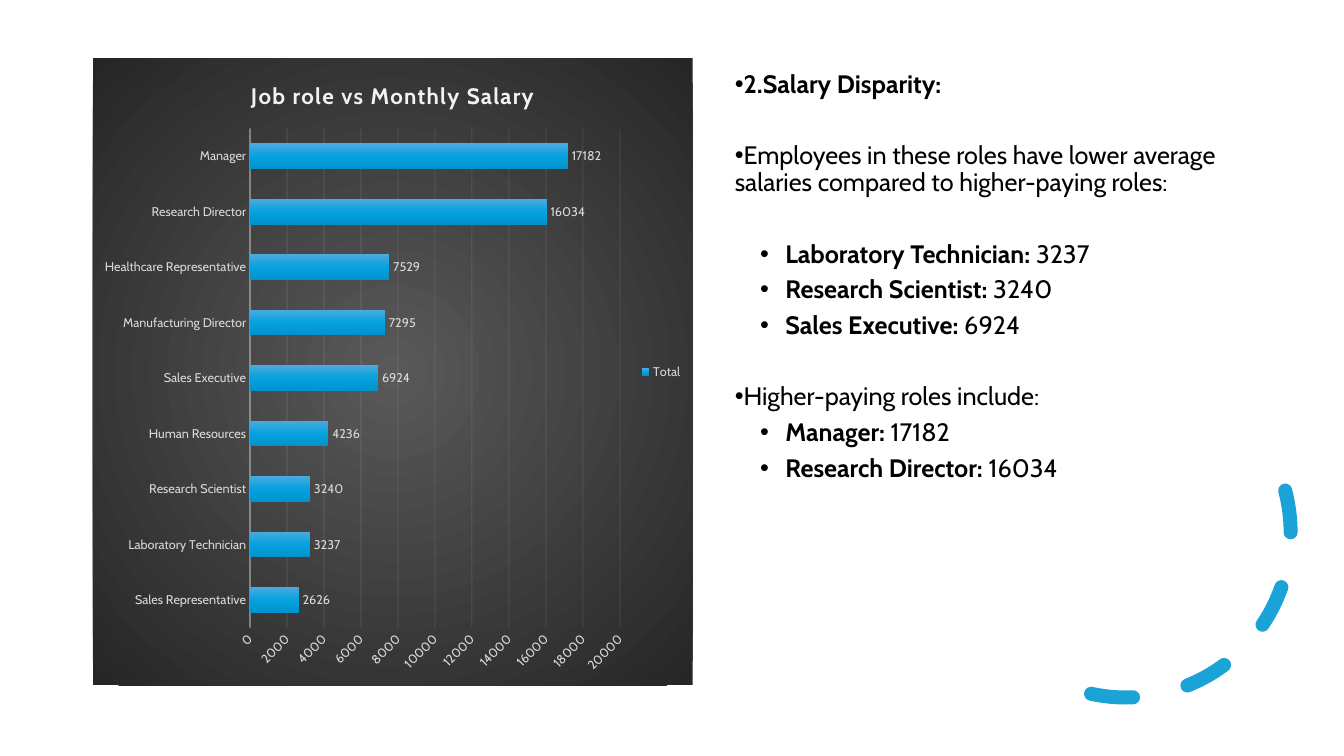
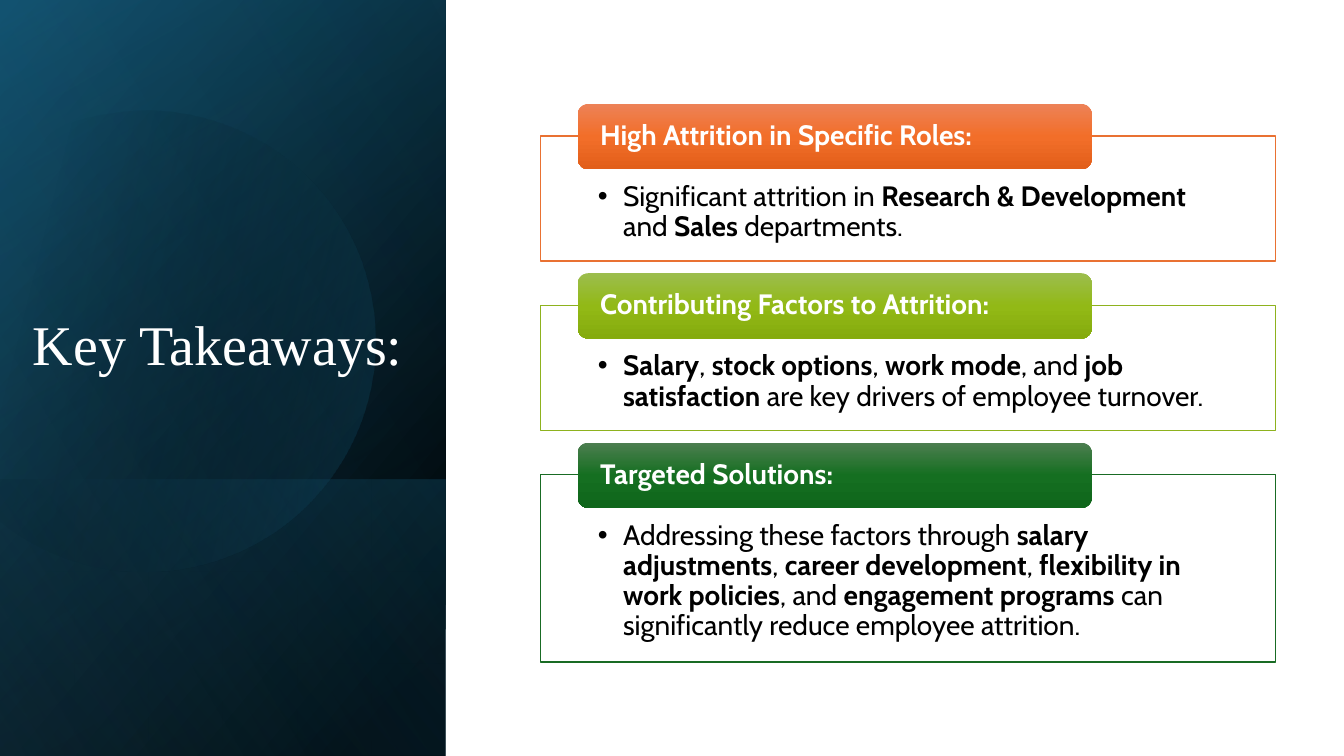
"""Build two slides on employee attrition: a salary chart and the key takeaways."""
from dataclasses import dataclass
from math import cos, radians, sin

from lxml.etree import SubElement
from pptx import Presentation
from pptx.chart.data import CategoryChartData
from pptx.dml.color import RGBColor
from pptx.enum.chart import XL_CHART_TYPE as ChartType
from pptx.enum.chart import XL_LABEL_POSITION as LabelPosition
from pptx.enum.chart import XL_LEGEND_POSITION as LegendPosition
from pptx.enum.chart import XL_TICK_MARK as TickMark
from pptx.enum.dml import MSO_LINE as Dash
from pptx.enum.shapes import MSO_SHAPE as Shape
from pptx.enum.text import MSO_ANCHOR as Anchor
from pptx.enum.text import MSO_AUTO_SIZE as AutoSize
from pptx.enum.text import PP_ALIGN as Align
from pptx.oxml import parse_xml
from pptx.oxml.ns import nsdecls, qn
from pptx.util import Emu, Pt

EMU_PER_PX = 9144
BODY_FONT, TITLE_FONT = "Cabin", "Times New Roman"
BLACK, WHITE, PALE, GREY = "000000", "FFFFFF", "F2F2F2", "D9D9D9"
TEAL, NAVY, SKY, ACCENT = "156082", "104862", "46B1E1", "0F9ED5"
CIRCLE = '<a:path path="circle"><a:fillToRect l="50000" t="50000" r="50000" b="50000"/></a:path>'


@dataclass(frozen=True)
class Paragraph:
    """A paragraph whose bold words stand between asterisks."""
    text: str
    level: int = 0
    margin: int = 0
    bullet: bool = True
    before: float = 0


@dataclass(frozen=True)
class Layer:
    """A gradient rectangle turned a quarter, listed before its turn."""
    left: int
    top: int
    width: int
    height: int
    angle: int
    stops: tuple


@dataclass(frozen=True)
class Card:
    """A takeaway with a coloured heading over an outlined frame."""
    heading: str
    body: str
    height: int
    outline: str
    shades: tuple


SALARIES = {
    "Sales Representative": 2626, "Laboratory Technician": 3237, "Research Scientist": 3240,
    "Human Resources": 4236, "Sales Executive": 6924, "Manufacturing Director": 7295,
    "Healthcare Representative": 7529, "Research Director": 16034, "Manager": 17182,
}
BLOCK_GAP = 25.5
FINDINGS = (
    Paragraph("*2.Salary Disparity:*"),
    Paragraph("Employees in these roles have lower average salaries compared to "
              "higher-paying roles:", before=BLOCK_GAP),
    Paragraph("*Laboratory Technician:* 3237", 1, 50, before=BLOCK_GAP),
    Paragraph("*Research Scientist:* 3240", 1, 50),
    Paragraph("*Sales Executive:* 6924", 1, 50),
    Paragraph("Higher-paying roles include:", before=BLOCK_GAP),
    Paragraph("*Manager:* 17182", 1, 50),
    Paragraph("*Research Director:* 16034", 1, 50),
)
BASE_LAYERS = (
    Layer(-154, 154, 750, 442, 50, ((8, BLACK, 100), (100, NAVY, 100))),
    Layer(-154, 154, 750, 442, 30, ((0, BLACK, 0), (99, TEAL, 46))),
    Layer(84, 392, 274, 442, 130, ((2, TEAL, 29), (100, BLACK, 30))),
)
TOP_LAYER = Layer(-154, 154, 750, 442, 120, ((0, BLACK, 0), (99, SKY, 11)))
DISC_BOX, DISC_TURN = (-55, 106, 427, 457), -16.1
DISC_START = (149, 110)
DISC_STEPS = (
    ((246, 112), (335, 177), (363, 275)),
    ((398, 397), (328, 523), (207, 558)),
    ((131, 580), (53, 561), (-3, 514)),
    ((-15, 503),),
    ((-15, 175),),
    ((0, 161),),
    ((23, 142), (50, 128), (80, 119)),
    ((103, 113), (126, 110), (149, 110)),
)
CARDS = (
    Card("High Attrition in Specific Roles:",
         "Significant attrition in *Research & Development* and *Sales* departments.",
         124, "E97132", ("ED8257", "F26E29", "E25F1A")),
    Card("Contributing Factors to Attrition:",
         "*Salary*, *stock options*, *work mode*, and *job satisfaction* are key drivers "
         "of employee turnover.",
         124, "8EB21E", ("9CBD4E", "92B916", "85AB0D")),
    Card("Targeted Solutions:",
         "Addressing these factors through *salary adjustments*, *career development*, "
         "*flexibility in work policies*, and *engagement programs* can significantly "
         "reduce employee attrition.",
         186, "196B24", ("4D7E50", "156F21", "0F661B")),
)


def px(*lengths: int) -> list:
    """Turn whole px into EMU."""
    return [Emu(length * EMU_PER_PX) for length in lengths]


def rgb(colour: str) -> RGBColor:
    """Read a hex colour."""
    return RGBColor.from_string(colour)


def style_font(font, size: float, colour: str, bold: bool = False, name: str = BODY_FONT) -> None:
    """Set face, size, colour and weight."""
    font.name, font.size, font.bold = name, Pt(size), bold
    font.color.rgb = rgb(colour)


def style_line(line, colour: str, width: float, opacity: int = 100) -> None:
    """Draw a solid line with an opacity in percent."""
    line.color.rgb, line.width = rgb(colour), Pt(width)
    tint = line._get_or_add_ln().find(".//" + qn("a:srgbClr"))
    SubElement(tint, qn("a:alpha")).set("val", str(opacity * 1000))


def gradient(stops: tuple, angle: int = 90, shade: str = ""):
    """Make a gradient fill from (position, colour, opacity) stops."""
    marks = "".join(
        f'<a:gs pos="{position * 1000}"><a:srgbClr val="{colour}">'
        f'<a:alpha val="{opacity * 1000}"/></a:srgbClr></a:gs>'
        for position, colour, opacity in stops)
    shade = shade or f'<a:lin ang="{angle * 60000}" scaled="0"/>'
    return parse_xml(f'<a:gradFill {nsdecls("a")} rotWithShape="1">'
                     f'<a:gsLst>{marks}</a:gsLst>{shade}</a:gradFill>')


def fill_gradient(properties, stops: tuple, angle: int = 90) -> None:
    """Put a gradient in place of an empty fill."""
    properties.replace(properties.find(qn("a:noFill")), gradient(stops, angle))


def vertical_stops(shades: tuple) -> tuple:
    """Spread three opaque shades evenly."""
    return tuple((50 * index, shade, 100) for index, shade in enumerate(shades))


def clear(shape):
    """Remove shadow, fill and line."""
    shape.shadow.inherit = False
    shape.fill.background()
    shape.line.fill.background()
    return shape


def write(box, paragraphs: tuple, size: float, colour: str, insets: tuple,
          anchor=Anchor.TOP) -> None:
    """Write paragraphs into a box, run by run."""
    frame = box.text_frame
    frame.word_wrap, frame.vertical_anchor = True, anchor
    (frame.margin_left, frame.margin_top,
     frame.margin_right, frame.margin_bottom) = px(*insets)
    for index, item in enumerate(paragraphs):
        para = frame.paragraphs[0] if index == 0 else frame.add_paragraph()
        para.level, para.alignment = item.level, Align.LEFT
        if item.bullet:
            margin, indent = px(item.margin, -25)
            properties = para._p.get_or_add_pPr()
            properties.set("marL", str(margin))
            properties.set("indent", str(indent))
            SubElement(properties, qn("a:buFont")).set("typeface", "Arial")
            SubElement(properties, qn("a:buChar")).set("char", "•")
        para.line_spacing, para.space_after = 0.9, Pt(6)
        if item.before:
            para.space_before = Pt(item.before)
        for number, text in enumerate(item.text.split("*")):
            if text:
                span = para.add_run()
                span.text = text
                style_font(span.font, size, colour, number % 2 == 1)


def style_axis(axis) -> None:
    """Give an axis small grey labels and no ticks."""
    axis.major_tick_mark = axis.minor_tick_mark = TickMark.NONE
    style_font(axis.tick_labels.font, 9, GREY)


def add_salary_chart(page) -> None:
    """Draw the salary bars on a dark ground."""
    data = CategoryChartData(number_format="0")
    data.categories = list(SALARIES)
    data.add_series("Total", list(SALARIES.values()))
    chart = page.shapes.add_chart(ChartType.BAR_CLUSTERED, *px(92, 58, 595, 622), data).chart
    style_font(chart.font, 10, BLACK)
    ground = parse_xml(f'<c:spPr {nsdecls("c", "a")}><a:ln><a:noFill/></a:ln></c:spPr>')
    ground.insert(0, gradient(((0, "595959", 100), (100, "262626", 100)), shade=CIRCLE))
    chart._chartSpace.find(qn("c:txPr")).addprevious(ground)

    span = chart.chart_title.text_frame.paragraphs[0].add_run()
    span.text = "Job role vs Monthly Salary"
    style_font(span.font, 16, PALE, True)
    span._r.get_or_add_rPr().set("spc", "100")
    chart.chart_title.include_in_layout = False
    chart.has_legend = True
    chart.legend.position, chart.legend.include_in_layout = LegendPosition.RIGHT, False
    style_font(chart.legend.font, 9, GREY)

    style_axis(chart.category_axis)
    style_line(chart.category_axis.format.line, PALE, 1, 54)
    values = chart.value_axis
    style_axis(values)
    values.minimum_scale, values.maximum_scale, values.major_unit = 0, 20000, 2000
    values.format.line.fill.background()
    style_line(values.major_gridlines.format.line, PALE, 0.75, 10)
    values._element.find(qn("c:txPr")).find(qn("a:bodyPr")).set("rot", "-2700000")

    plot = chart.plots[0]
    plot.gap_width, plot.overlap, plot.vary_by_categories = 115, -20, False
    plot.has_data_labels = True
    labels = plot.data_labels
    labels.show_value, labels.position = True, LabelPosition.OUTSIDE_END
    labels.number_format, labels.number_format_is_linked = "0", False
    style_font(labels.font, 9, GREY)
    bars = plot.series[0]
    bars.format.fill.background()
    fill_gradient(bars._element.find(qn("c:spPr")),
                  vertical_stops(("4CAADF", "05A2DF", "0092CB")))


def add_salary_slide(deck) -> None:
    """Build the chart slide with its findings."""
    page = deck.slides.add_slide(deck.slide_layouts[6])
    arc = clear(page.shapes.add_shape(Shape.ARC, *px(953, 365, 327, 327)))
    arc.rotation = 104.5
    arc.adjustments[0], arc.adjustments[1] = 144.42, 0
    style_line(arc.line, ACCENT, 10, 95)
    arc.line.dash_style = Dash.DASH
    arc.line._get_or_add_ln().set("cap", "rnd")
    box = page.shapes.add_textbox(*px(719, 66, 543, 613))
    write(box, FINDINGS, 18, BLACK, (10, 5, 10, 5))
    add_salary_chart(page)


def add_layer(page, layer: Layer) -> None:
    """Draw one gradient layer of the side panel."""
    shape = clear(page.shapes.add_shape(
        Shape.RECTANGLE, *px(layer.left, layer.top, layer.width, layer.height)))
    shape.rotation = 90
    properties = shape._element.spPr
    properties.find(qn("a:xfrm")).set("flipH", "1")
    fill_gradient(properties, layer.stops, layer.angle)


def disc_point(point: tuple) -> tuple:
    """Undo the turn of the disc and measure from its box, in tenths of a px."""
    left, top, width, height = DISC_BOX
    across, down = point[0] - left - width / 2, point[1] - top - height / 2
    turn = radians(-DISC_TURN)
    return (round(10 * (across * cos(turn) - down * sin(turn) + width / 2)),
            round(10 * (across * sin(turn) + down * cos(turn) + height / 2)))


def add_disc(page) -> None:
    """Draw the faint disc, with its straight steps bent into curves."""
    builder = page.shapes.build_freeform(*disc_point(DISC_START), scale=EMU_PER_PX / 10)
    builder.add_line_segments([disc_point(step[-1]) for step in DISC_STEPS], close=True)
    disc = clear(builder.convert_to_shape())
    disc.left, disc.top, disc.width, disc.height = px(*DISC_BOX)
    disc.rotation = DISC_TURN
    outline = disc._element.spPr.find(".//" + qn("a:path"))
    outline.set("w", str(10 * DISC_BOX[2]))
    outline.set("h", str(10 * DISC_BOX[3]))
    moves = [("moveTo", (DISC_START,))]
    moves += [("cubicBezTo" if len(step) == 3 else "lnTo", step) for step in DISC_STEPS]
    for child in list(outline):
        outline.remove(child)
    for kind, points in moves:
        move = SubElement(outline, qn(f"a:{kind}"))
        for x, y in map(disc_point, points):
            mark = SubElement(move, qn("a:pt"))
            mark.set("x", str(x))
            mark.set("y", str(y))
    SubElement(outline, qn("a:close"))
    fill_gradient(disc._element.spPr, ((29, BLACK, 0), (100, TEAL, 43)), 30)


def add_card(page, card: Card, top: int) -> None:
    """Draw one takeaway card."""
    frame = clear(page.shapes.add_shape(Shape.RECTANGLE, *px(536, top, 729, card.height)))
    frame.fill.solid()
    frame.fill.fore_color.rgb = rgb(WHITE)
    style_line(frame.line, card.outline, 1)
    write(frame, (Paragraph(card.body, 1, 25),), 20, BLACK, (57, 46, 57, 16))
    header = clear(page.shapes.add_shape(Shape.ROUNDED_RECTANGLE, *px(573, top - 32, 510, 65)))
    fill_gradient(header._element.spPr, vertical_stops(card.shades))
    write(header, (Paragraph(f"*{card.heading}*", bullet=False),), 20, WHITE,
          (19, 0, 19, 0), Anchor.MIDDLE)


def add_takeaways_slide(deck) -> None:
    """Build the slide with the side panel and three cards."""
    page = deck.slides.add_slide(deck.slide_layouts[5])
    for layer in BASE_LAYERS:
        add_layer(page, layer)
    add_disc(page)
    add_layer(page, TOP_LAYER)
    title = page.shapes.title
    title.element.getparent().append(title.element)
    title.left, title.top, title.width, title.height = px(18, 118, 405, 262)
    frame = title.text_frame
    frame.word_wrap, frame.auto_size, frame.vertical_anchor = True, AutoSize.NONE, Anchor.BOTTOM
    para = frame.paragraphs[0]
    para.alignment, para.line_spacing = Align.RIGHT, 0.9
    span = para.add_run()
    span.text = "Key Takeaways: "
    style_font(span.font, 40, WHITE, name=TITLE_FONT)
    top, gap = 135, 44
    for card in CARDS:
        add_card(page, card, top)
        top += card.height + gap


def main() -> None:
    """Build and save the deck."""
    deck = Presentation()
    deck.slide_width, deck.slide_height = px(1333, 750)
    add_salary_slide(deck)
    add_takeaways_slide(deck)
    deck.save("out.pptx")


if __name__ == "__main__":
    main()
